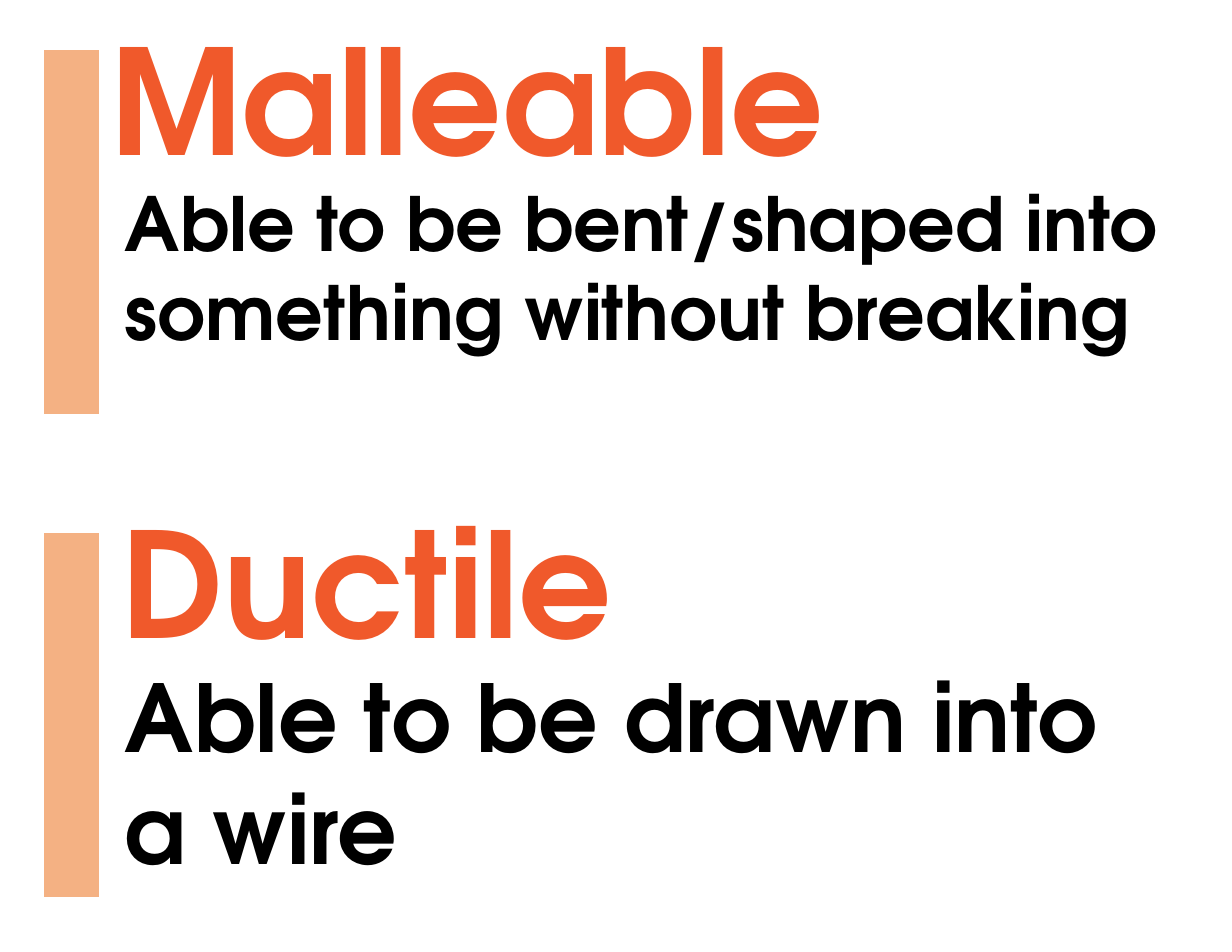
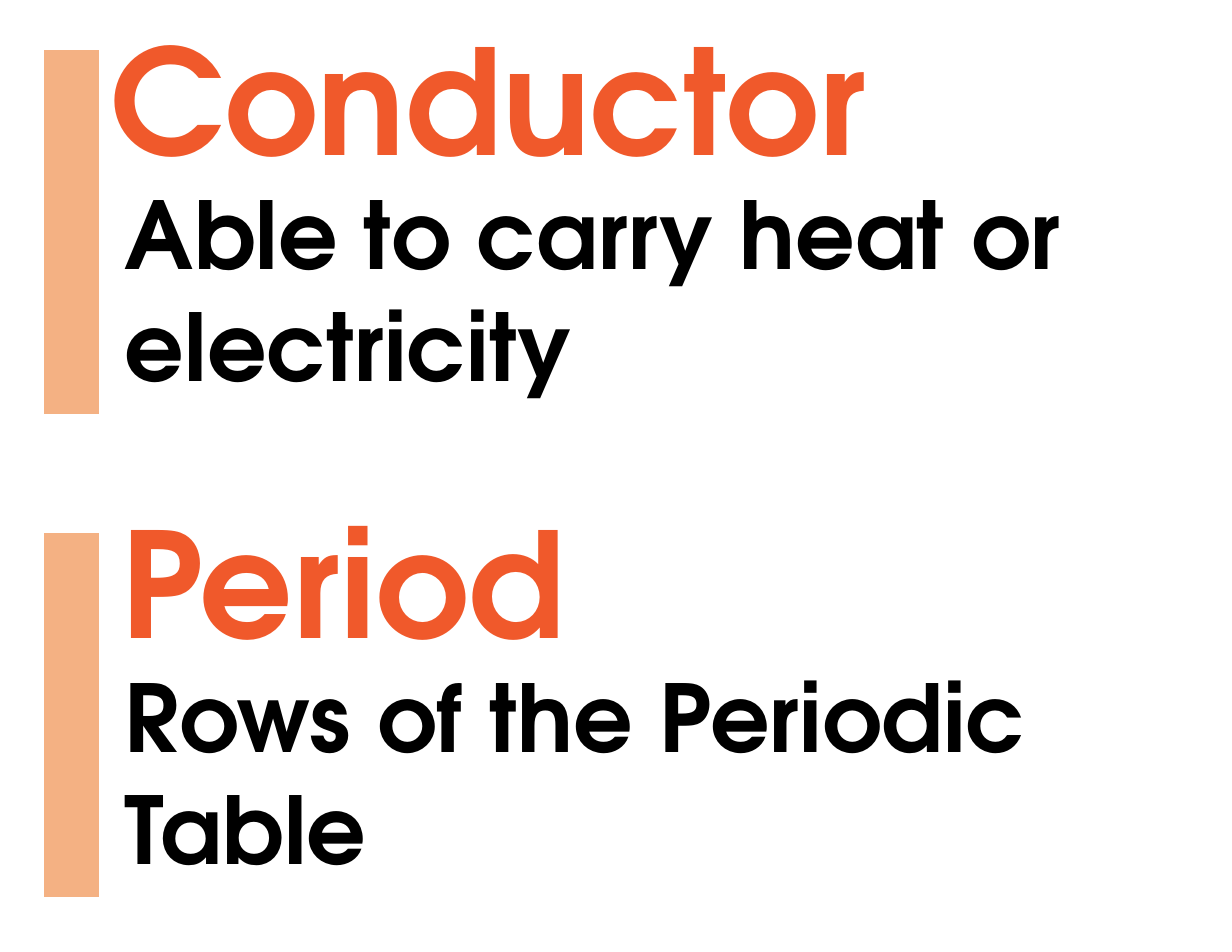
"""Build two vocabulary slides, each with two terms and their definitions."""
from dataclasses import dataclass

from pptx import Presentation
from pptx.dml.color import RGBColor
from pptx.enum.shapes import MSO_SHAPE
from pptx.enum.text import MSO_ANCHOR, MSO_AUTO_SIZE, PP_ALIGN
from pptx.util import Emu, Pt

RECTANGLE = MSO_SHAPE.RECTANGLE
TOP, MIDDLE = MSO_ANCHOR.TOP, MSO_ANCHOR.MIDDLE
NO_FIT = MSO_AUTO_SIZE.NONE
LEFT = PP_ALIGN.LEFT

EMU_PER_INCH = 914400
PX_PER_INCH = 112
PAGE_WIDTH, PAGE_HEIGHT = 1232, 952
ENTRY_STEP = 483
TITLE_ONLY = 5
FONT = "TeX Gyre Adventor"
TERM_SIZE = 94
COLORS = {"term": "F0592B", "definition": "000000", "bar": "F4B183"}


@dataclass(frozen=True)
class Area:
    """A rectangle in px."""
    left: int
    top: int
    width: int
    height: int

    def emu(self, shift: int = 0) -> list[Emu]:
        """Return the rectangle in EMU, moved down by shift px."""
        return [px(n) for n in (self.left, self.top + shift, self.width, self.height)]


@dataclass(frozen=True)
class Entry:
    """A term with its definition."""
    term: str
    definition: str
    size: int = 60


BAR = Area(44, 50, 55, 364)
DEFINITION = Area(114, 171, 1058, 244)
TERMS = (Area(99, 2, 1074, 190), Area(110, 2, 1074, 190))

PAGES = (
    (
        Entry("Malleable", "Able to be bent/shaped into something without breaking", 48),
        Entry("Ductile", "Able to be drawn into a wire"),
    ),
    (
        Entry("Conductor", "Able to carry heat or electricity"),
        Entry("Period", "Rows of the Periodic Table"),
    ),
)


def px(length: int) -> Emu:
    """Turn px into EMU."""
    return Emu(round(length * EMU_PER_INCH / PX_PER_INCH))


def apply(target, values: dict) -> None:
    """Set every attribute named in values."""
    for name, value in values.items():
        setattr(target, name, value)


def place(shape, area: list[Emu]) -> None:
    """Move and resize a shape."""
    apply(shape, dict(zip(("left", "top", "width", "height"), area)))


def write(box, text: str, size: int, role: str, anchor) -> None:
    """Put one formatted paragraph into a box."""
    frame = box.text_frame
    apply(frame, {"word_wrap": True, "auto_size": NO_FIT, "vertical_anchor": anchor})
    para = frame.paragraphs[0]
    para.alignment = LEFT
    span = para.add_run()
    span.text = text
    apply(span.font, {"name": FONT, "size": Pt(size), "bold": True})
    span.font.color.rgb = RGBColor.from_string(COLORS[role])


def add_bar(page, shift: int) -> None:
    """Draw the band beside an entry."""
    bar = page.shapes.add_shape(RECTANGLE, *BAR.emu(shift))
    bar.shadow.inherit = False
    bar.fill.solid()
    bar.fill.fore_color.rgb = RGBColor.from_string(COLORS["bar"])
    bar.line.fill.background()


def add_entry(page, entry: Entry, index: int) -> None:
    """Draw a term, its definition and its band."""
    shift = index * ENTRY_STEP
    area = TERMS[index].emu(shift)
    if index == 0:
        term = page.shapes.title
        place(term, area)
    else:
        term = page.shapes.add_textbox(*area)
    write(term, entry.term, TERM_SIZE, "term", MIDDLE)
    definition = page.shapes.add_textbox(*DEFINITION.emu(shift))
    write(definition, entry.definition, entry.size, "definition", TOP)
    add_bar(page, shift)


def main() -> None:
    """Build and save the deck."""
    deck = Presentation()
    apply(deck, {"slide_width": px(PAGE_WIDTH), "slide_height": px(PAGE_HEIGHT)})
    for entries in PAGES:
        page = deck.slides.add_slide(deck.slide_layouts[TITLE_ONLY])
        for index, entry in enumerate(entries):
            add_entry(page, entry, index)
    deck.save("out.pptx")


if __name__ == "__main__":
    main()
